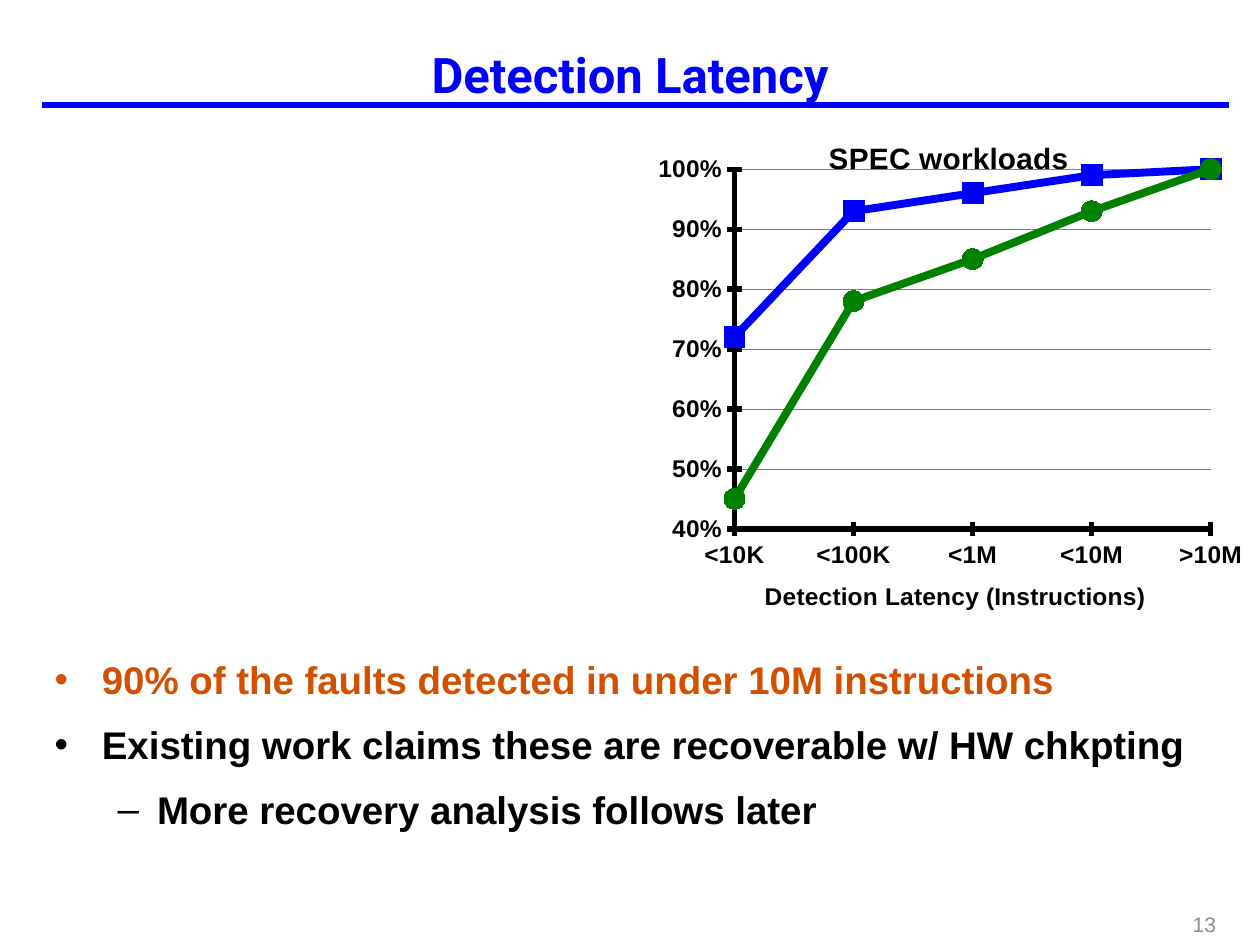
from lxml import etree
from pptx import Presentation
from pptx.chart.data import CategoryChartData
from pptx.dml.color import RGBColor
from pptx.enum.chart import XL_CHART_TYPE, XL_MARKER_STYLE, XL_TICK_MARK
from pptx.enum.shapes import MSO_CONNECTOR
from pptx.enum.text import MSO_ANCHOR, MSO_AUTO_SIZE, PP_ALIGN
from pptx.oxml import parse_xml
from pptx.oxml.ns import nsdecls, qn
from pptx.util import Pt

LINE_MARKERS = XL_CHART_TYPE.LINE_MARKERS
SQUARE, CIRCLE = XL_MARKER_STYLE.SQUARE, XL_MARKER_STYLE.CIRCLE
CROSS, NO_TICK = XL_TICK_MARK.CROSS, XL_TICK_MARK.NONE
STRAIGHT = MSO_CONNECTOR.STRAIGHT
TOP, MIDDLE = MSO_ANCHOR.TOP, MSO_ANCHOR.MIDDLE
LEFT, CENTER, RIGHT = PP_ALIGN.LEFT, PP_ALIGN.CENTER, PP_ALIGN.RIGHT
NO_AUTOFIT = MSO_AUTO_SIZE.NONE

BLUE, GREEN, ORANGE = "0000FF", "008000", "D15100"
BLACK, WHITE, GRAY, GRID_GRAY = "000000", "FFFFFF", "8C8C8C", "808080"

BULLETS = [
    ("90% of the faults detected in under 10M instructions", 0, ORANGE),
    ("Existing work claims these are recoverable w/ HW chkpting", 0, BLACK),
    ("More recovery analysis follows later", 1, BLACK),
]
BULLET_STYLES = [("•", 27, 27), ("–", 58.5, 22.5)]
CATEGORIES = ["<10K", "<100K", "<1M", "<10M", ">10M"]
SERIES = [
    ("Series 1", [0.72, 0.93, 0.96, 0.99, 1], BLUE, SQUARE),
    ("Series 2", [0.45, 0.78, 0.85, 0.93, 1], GREEN, CIRCLE),
]


def rgb(color):
    return RGBColor.from_string(color)


def set_font(font, size, color, bold=True, name="Arial"):
    font.name, font.size, font.bold = name, Pt(size), bold
    font.color.rgb = rgb(color)


def set_line(line, color, width):
    line.color.rgb = rgb(color)
    line.width = Pt(width)


def manual_layout(x, y, width=None, height=None):
    values = [("xMode", "edge"), ("yMode", "edge"), ("x", x), ("y", y)]
    if width:
        values = [("layoutTarget", "inner")] + values + [("w", width), ("h", height)]
    children = "".join(f'<c:{tag} val="{value}"/>' for tag, value in values)
    return parse_xml(
        f'<c:layout {nsdecls("c")}><c:manualLayout>{children}</c:manualLayout></c:layout>'
    )


class SlideBuilder:
    """Holds the slide style and draws each kind of element on the current slide."""

    def __init__(self, presentation):
        self.slide = presentation.slides.add_slide(presentation.slide_layouts[1])

    def place(self, shape, left, top, width, height, anchor):
        shape.left, shape.top = Pt(left), Pt(top)
        shape.width, shape.height = Pt(width), Pt(height)
        frame = shape.text_frame
        frame.word_wrap, frame.auto_size = True, NO_AUTOFIT
        frame.vertical_anchor = anchor
        return frame

    def title(self, text, *box):
        paragraph = self.place(self.slide.shapes.title, *box, MIDDLE).paragraphs[0]
        paragraph.text, paragraph.alignment = text, CENTER
        set_font(paragraph.font, 28, BLUE, name="Roboto")

    def rule(self, left, right, y):
        line = self.slide.shapes.add_connector(STRAIGHT, Pt(left), Pt(y), Pt(right), Pt(y))
        set_line(line.line, BLUE, 3)
        etree.SubElement(line._element.spPr, qn("a:effectLst"))

    def bullets(self, items, *box):
        frame = self.place(self.slide.placeholders[1], *box, TOP)
        for index, (text, level, color) in enumerate(items):
            paragraph = frame.add_paragraph() if index else frame.paragraphs[0]
            paragraph.text, paragraph.level = text, level
            paragraph.alignment, paragraph.line_spacing = LEFT, 1.2
            paragraph.space_before = Pt(5.5 if index else 0)
            character, margin, hanging = BULLET_STYLES[level]
            properties = paragraph._p.get_or_add_pPr()
            properties.set("marL", str(Pt(margin)))
            properties.set("indent", str(-Pt(hanging)))
            etree.SubElement(properties, qn("a:buChar"), char=character)
            set_font(paragraph.font, 22, color)

    def label(self, text, *box):
        frame = self.place(self.slide.shapes.add_textbox(0, 0, 0, 0), *box, MIDDLE)
        paragraph = frame.paragraphs[0]
        paragraph.text, paragraph.alignment = text, RIGHT
        set_font(paragraph.font, 12, GRAY, bold=False)

    def chart_title(self, title, text, size, x, y):
        paragraph = title.text_frame.paragraphs[0]
        paragraph.text = text
        set_font(paragraph.font, size, BLACK)
        element = title._element
        for layout in element.findall(qn("c:layout")):
            element.remove(layout)
        element.find(qn("c:tx")).addnext(manual_layout(x, y))

    def line_chart(self, title, axis_title, *box):
        data = CategoryChartData(number_format="0%")
        data.categories = CATEGORIES
        for name, values, _, _ in SERIES:
            data.add_series(name, values)
        frame = self.slide.shapes.add_chart(LINE_MARKERS, *map(Pt, box), data)
        chart = frame.chart
        chart.has_legend = False
        set_font(chart.font, 14, BLACK)
        self.chart_title(chart.chart_title, title, 17, 0.318, 0.04)
        self.chart_title(chart.category_axis.axis_title, axis_title, 14, 0.218, 0.932)

        for axis in (chart.category_axis, chart.value_axis):
            axis.major_tick_mark, axis.minor_tick_mark = CROSS, NO_TICK
            set_line(axis.format.line, BLACK, 3)
        axis = chart.value_axis
        axis.minimum_scale, axis.maximum_scale, axis.major_unit = 0.4, 1, 0.1
        axis.tick_labels.number_format = "0%"
        axis.tick_labels.number_format_is_linked = False
        set_line(axis.major_gridlines.format.line, GRID_GRAY, 0.25)
        cross_between = parse_xml(f'<c:crossBetween {nsdecls("c")} val="midCat"/>')
        axis._element.find(qn("c:majorUnit")).addprevious(cross_between)

        plot = chart.plots[0]
        plot.vary_by_categories = False
        for series, (_, _, color, marker) in zip(plot.series, SERIES):
            series.smooth = False
            set_line(series.format.line, color, 4.5)
            series.marker.style, series.marker.size = marker, 12
            series.marker.format.fill.solid()
            series.marker.format.fill.fore_color.rgb = rgb(color)
            set_line(series.marker.format.line, color, 0.75)

        plot_area = chart._chartSpace.chart.plotArea
        for layout in plot_area.findall(qn("c:layout")):
            plot_area.remove(layout)
        plot_area.insert(0, manual_layout(0.177, 0.112, 0.756, 0.725))
        white_fill = (
            f'<c:spPr {nsdecls("c", "a")}><a:solidFill><a:srgbClr val="{WHITE}"/>'
            "</a:solidFill><a:ln><a:noFill/></a:ln></c:spPr>"
        )
        plot_area.append(parse_xml(white_fill))
        chart._chartSpace.chart.addnext(parse_xml(white_fill))


def main():
    presentation = Presentation()
    presentation.slide_width, presentation.slide_height = Pt(720), Pt(540)
    builder = SlideBuilder(presentation)
    builder.rule(24, 702, 60)
    builder.title("Detection Latency", 0, 12, 720, 60)
    builder.bullets(BULLETS, 24, 366, 684, 150)
    builder.line_chart("SPEC workloads", "Detection Latency (Instructions)", 356, 65, 360, 288)
    builder.label("13", 666, 516, 36, 24)
    presentation.save("out.pptx")


if __name__ == "__main__":
    main()
